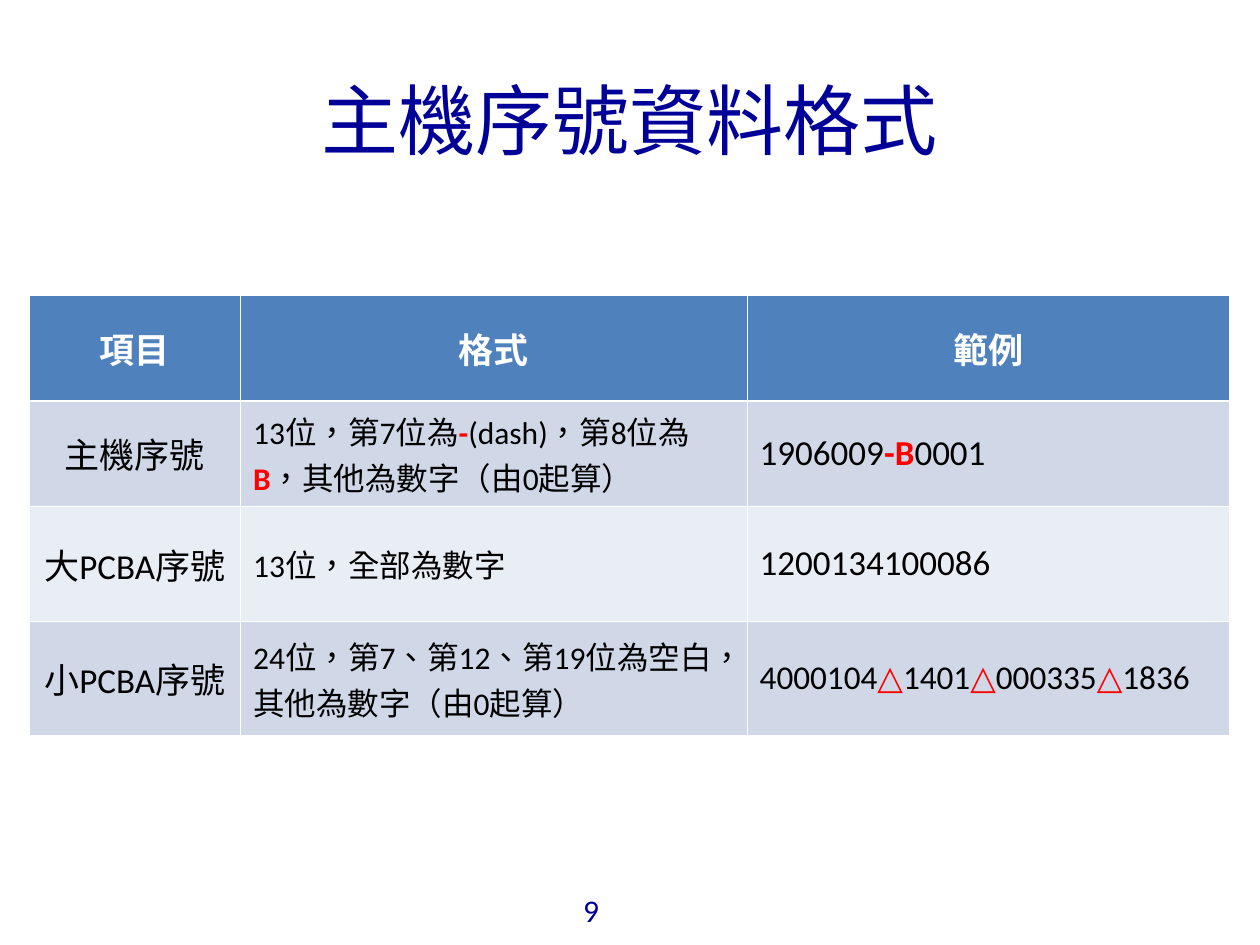
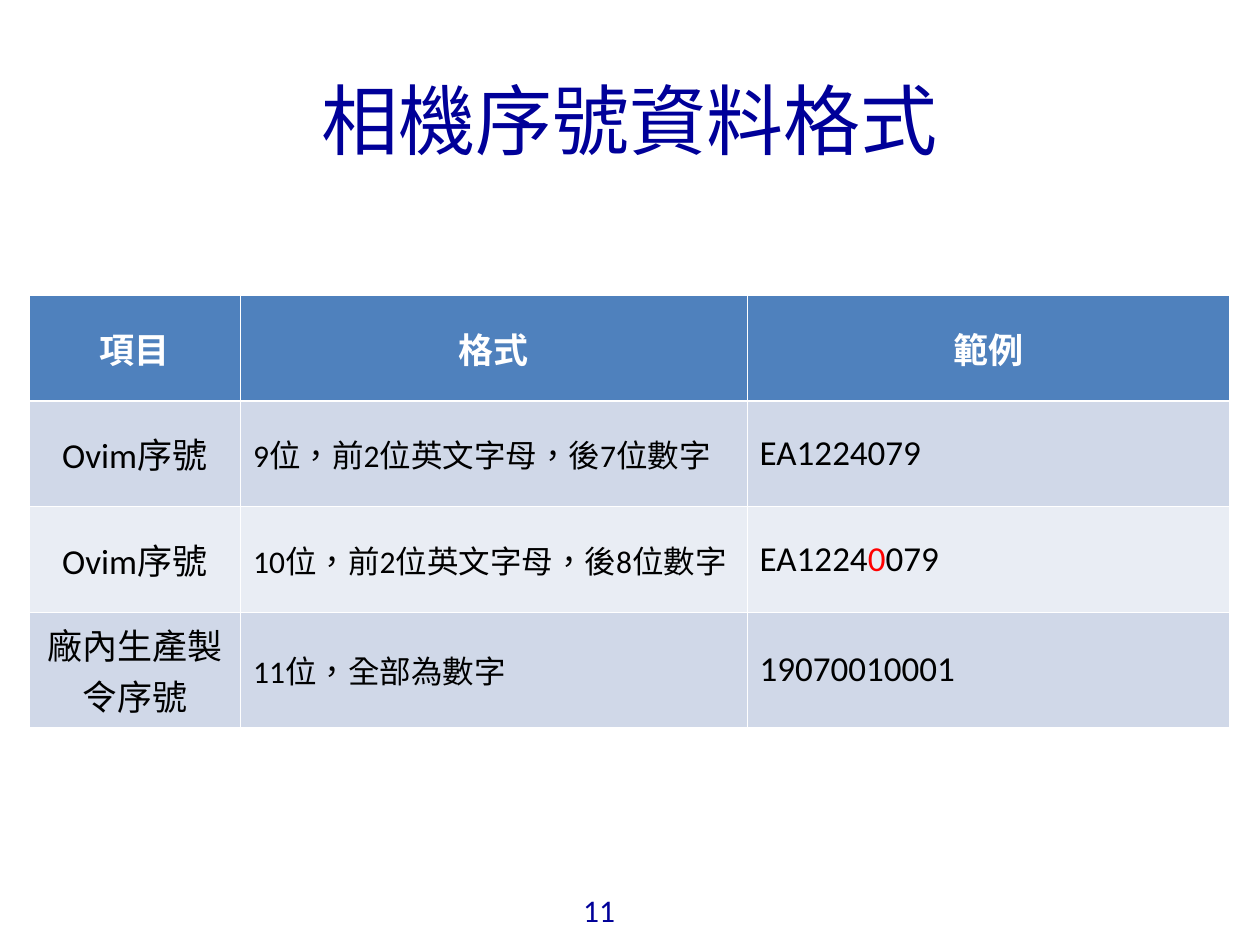
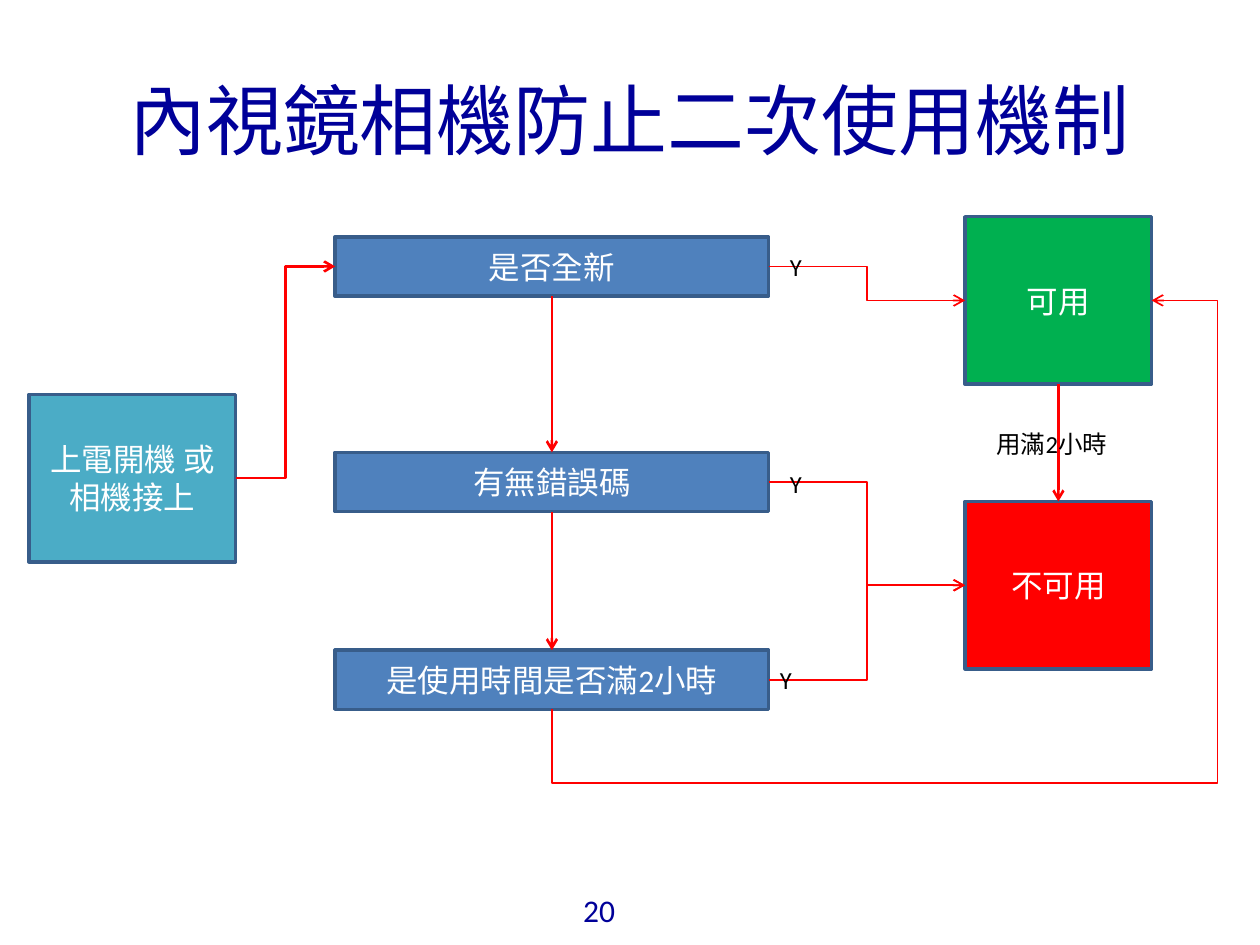
from typing import NamedTuple

from lxml import etree
from pptx import Presentation
from pptx.dml.color import RGBColor
from pptx.enum.shapes import MSO_CONNECTOR, MSO_SHAPE
from pptx.enum.text import MSO_ANCHOR, PP_ALIGN
from pptx.oxml.ns import qn
from pptx.util import Inches, Pt

LEFT, CENTER = PP_ALIGN.LEFT, PP_ALIGN.CENTER
MIDDLE = MSO_ANCHOR.MIDDLE
RECTANGLE = MSO_SHAPE.RECTANGLE
STRAIGHT, ELBOW = MSO_CONNECTOR.STRAIGHT, MSO_CONNECTOR.ELBOW
TOP_SITE, LEFT_SITE, BOTTOM_SITE, RIGHT_SITE = range(4)

NAVY = RGBColor(0x00, 0x00, 0x99)
WHITE = RGBColor(0xFF, 0xFF, 0xFF)
BLACK = RGBColor(0x00, 0x00, 0x00)
RED = RGBColor(0xFF, 0x00, 0x00)
GREEN = RGBColor(0x00, 0xB0, 0x50)
TEAL = RGBColor(0x4B, 0xAC, 0xC6)
BLUE = RGBColor(0x4F, 0x81, 0xBD)
OUTLINE = RGBColor(0x38, 0x5D, 0x8A)
BANDS = (RGBColor(0xD0, 0xD8, 0xE8), RGBColor(0xE9, 0xED, 0xF4))

BODY_FONT = "Calibri"
CJK_FONT = "Noto Sans CJK SC"
TITLE_ONLY = 5

COLUMN_WIDTHS = (1.68, 4.02, 3.83)
ROW_HEIGHT = 0.84
TALL_ROW_HEIGHT = 0.91
HEADINGS = ("項目", "格式", "範例")
RED_TEXT = {"color": RED}
RED_BOLD = {"color": RED, "bold": True}
BLANK_MARK = ("△", RED_BOLD)


class SerialRow(NamedTuple):
    item: str
    rule: list
    example: list
    example_size: int = 20
    height: float = ROW_HEIGHT


HOST_SERIALS = [
    SerialRow("主機序號",
              ["13位，第7位為", ("-", RED_BOLD), "(dash)，第8位為", ("B", RED_BOLD),
               "，其他為數字（由0起算）"],
              ["1906009", ("-B", RED_BOLD), "0001"]),
    SerialRow("大PCBA序號", ["13位，全部為數字"], ["1200134100086"], height=TALL_ROW_HEIGHT),
    SerialRow("小PCBA序號", ["24位，第7、第12、第19位為空白，其他為數字（由0起算）"],
              ["4000104", BLANK_MARK, "1401", BLANK_MARK, "000335", BLANK_MARK, "1836"],
              example_size=19, height=TALL_ROW_HEIGHT),
]
CAMERA_SERIALS = [
    SerialRow("Ovim序號", ["9位，前2位英文字母，後7位數字"], ["EA1224079"]),
    SerialRow("Ovim序號", ["10位，前2位英文字母，後8位數字"],
              ["EA1224", ("0", RED_TEXT), "079"]),
    SerialRow("廠內生產製令序號", ["11位，全部為數字"], ["19070010001"],
              height=TALL_ROW_HEIGHT),
]


def write(frame, pieces, size=18, color=BLACK, bold=False, font=BODY_FONT, align=LEFT):
    """Fill one paragraph; a piece is a string or (string, format overrides)."""
    paragraph = frame.paragraphs[0]
    paragraph.alignment = align
    for piece in [pieces] if isinstance(pieces, str) else pieces:
        text, overrides = (piece, {}) if isinstance(piece, str) else piece
        look = {"color": color, "bold": bold, **overrides}
        run = paragraph.add_run()
        run.text = text
        run.font.size = Pt(size)
        run.font.bold = look["bold"]
        run.font.color.rgb = look["color"]
        run.font.name = font
        properties = run.font._element
        properties.set("lang", "zh-TW")
        etree.SubElement(properties, qn("a:ea"), typeface=CJK_FONT)


def add_label(slide, text, left, top, width, height, **look):
    label = slide.shapes.add_textbox(*map(Inches, (left, top, width, height)))
    label.text_frame.word_wrap = False
    write(label.text_frame, text, **look)


def add_titled_slide(prs, title, page):
    slide = prs.slides.add_slide(prs.slide_layouts[TITLE_ONLY])
    heading = slide.shapes.title
    heading.left, heading.top, heading.width, heading.height = map(Inches, (0.5, 0.4, 9, 1.08))
    heading.text_frame.vertical_anchor = MIDDLE
    write(heading.text_frame, title, size=44, color=NAVY, font=CJK_FONT, align=CENTER)
    add_label(slide, str(page), 4.53, 7.02, 0.55, 0.41, color=NAVY)
    return slide


def set_borders(cell, top=0.45, bottom=0.45):
    for side, width in (("L", 0.45), ("R", 0.45), ("T", top), ("B", bottom)):
        border = etree.SubElement(cell._tc.get_or_add_tcPr(), qn(f"a:ln{side}"),
                                  w=str(Pt(width)))
        fill = etree.SubElement(border, qn("a:solidFill"))
        etree.SubElement(fill, qn("a:srgbClr"), val=str(WHITE))


def fill_cell(cell, pieces, fill, borders, **look):
    set_borders(cell, **borders)
    cell.fill.solid()
    cell.fill.fore_color.rgb = fill
    cell.vertical_anchor = MIDDLE
    write(cell.text_frame, pieces, **look)


def add_serial_table(slide, serials):
    heights = [ROW_HEIGHT] + [serial.height for serial in serials]
    table = slide.shapes.add_table(
        len(heights), len(HEADINGS), Inches(0.23), Inches(2.34),
        Inches(sum(COLUMN_WIDTHS)), Inches(sum(heights))).table
    for column, width in zip(table.columns, COLUMN_WIDTHS):
        column.width = Inches(width)
    for row, height in zip(table.rows, heights):
        row.height = Inches(height)
    for column, heading in enumerate(HEADINGS):
        fill_cell(table.cell(0, column), heading, BLUE, {"bottom": 1.47},
                  size=20, color=WHITE, bold=True, align=CENTER)
    for number, serial in enumerate(serials, 1):
        band = BANDS[(number - 1) % 2]
        borders = {"top": 1.47} if number == 1 else {}
        item, rule, example = table.rows[number].cells
        fill_cell(item, serial.item, band, borders, size=20, align=CENTER)
        fill_cell(rule, serial.rule, band, borders)
        fill_cell(example, serial.example, band, borders, size=serial.example_size)


def add_step(slide, text, left, top, width, height, fill):
    step = slide.shapes.add_shape(RECTANGLE, *map(Inches, (left, top, width, height)))
    step.shadow.inherit = False
    step.fill.solid()
    step.fill.fore_color.rgb = fill
    step.line.color.rgb = OUTLINE
    step.line.width = Pt(2)
    step.text_frame.word_wrap = True
    step.text_frame.vertical_anchor = MIDDLE
    write(step.text_frame, text, color=WHITE, align=CENTER)
    return step


def add_arrow(slide, start, start_site, end, end_site, kind=ELBOW, width=1.0):
    arrow = slide.shapes.add_connector(kind, 0, 0, 0, 0)
    arrow.begin_connect(start, start_site)
    arrow.end_connect(end, end_site)
    arrow.line.color.rgb = RED
    arrow.line.width = Pt(width)
    etree.SubElement(arrow.line._get_or_add_ln(), qn("a:tailEnd"), type="arrow")
    etree.SubElement(arrow._element.spPr, qn("a:effectLst"))
    return arrow


def route_around(arrow, below, beyond):
    """Lead a connector down, right past its end, up and back; offsets are shares of its box."""
    center_x = arrow.left + arrow.width // 2
    center_y = arrow.top + arrow.height // 2
    arrow.width, arrow.height = arrow.height, arrow.width
    arrow.left = center_x - arrow.width // 2
    arrow.top = center_y - arrow.height // 2
    properties = arrow._element.spPr
    frame = properties.find(qn("a:xfrm"))
    for name, value in (("rot", "5400000"), ("flipH", "1"), ("flipV", "1")):
        frame.set(name, value)
    geometry = properties.find(qn("a:prstGeom"))
    geometry.set("prst", "bentConnector4")
    guides = geometry.find(qn("a:avLst"))
    if guides is None:
        guides = etree.SubElement(geometry, qn("a:avLst"))
    for name, share in (("adj1", -below), ("adj2", 1 + beyond)):
        etree.SubElement(guides, qn("a:gd"), name=name, fmla=f"val {round(share * 100000)}")


def add_reuse_flow(slide):
    is_new, has_error, time_used = [
        add_step(slide, question, 2.66, top, 3.44, 0.47, BLUE)
        for question, top in (("是否全新", 1.88), ("有無錯誤碼", 3.59),
                              ("是使用時間是否滿2小時", 5.16))]
    usable = add_step(slide, "可用", 7.66, 1.72, 1.48, 1.33, GREEN)
    unusable = add_step(slide, "不可用", 7.66, 3.98, 1.48, 1.33, RED)
    power_on = add_step(slide, "上電開機 或相機接上", 0.23, 3.13, 1.64, 1.33, TEAL)

    for upper, lower in ((is_new, has_error), (has_error, time_used), (usable, unusable)):
        add_arrow(slide, upper, BOTTOM_SITE, lower, TOP_SITE, STRAIGHT, 1.5)
    add_arrow(slide, power_on, RIGHT_SITE, is_new, LEFT_SITE, width=1.5)
    for question, result in ((is_new, usable), (has_error, unusable), (time_used, unusable)):
        add_arrow(slide, question, RIGHT_SITE, result, LEFT_SITE)
    time_left = add_arrow(slide, time_used, BOTTOM_SITE, usable, RIGHT_SITE)
    route_around(time_left, below=0.18, beyond=0.11)

    for left, top in ((6.17, 1.95), (6.17, 3.67), (6.09, 5.23)):
        add_label(slide, "Y", left, top, 0.31, 0.34, size=14)
    add_label(slide, "用滿2小時", 7.81, 3.36, 1.17, 0.34, size=14)


def main():
    prs = Presentation()
    prs.slide_width, prs.slide_height = Inches(10), Inches(7.5)
    add_serial_table(add_titled_slide(prs, "主機序號資料格式", 9), HOST_SERIALS)
    add_serial_table(add_titled_slide(prs, "相機序號資料格式", 11), CAMERA_SERIALS)
    add_reuse_flow(add_titled_slide(prs, "內視鏡相機防止二次使用機制", 20))
    prs.save("out.pptx")


if __name__ == "__main__":
    main()
